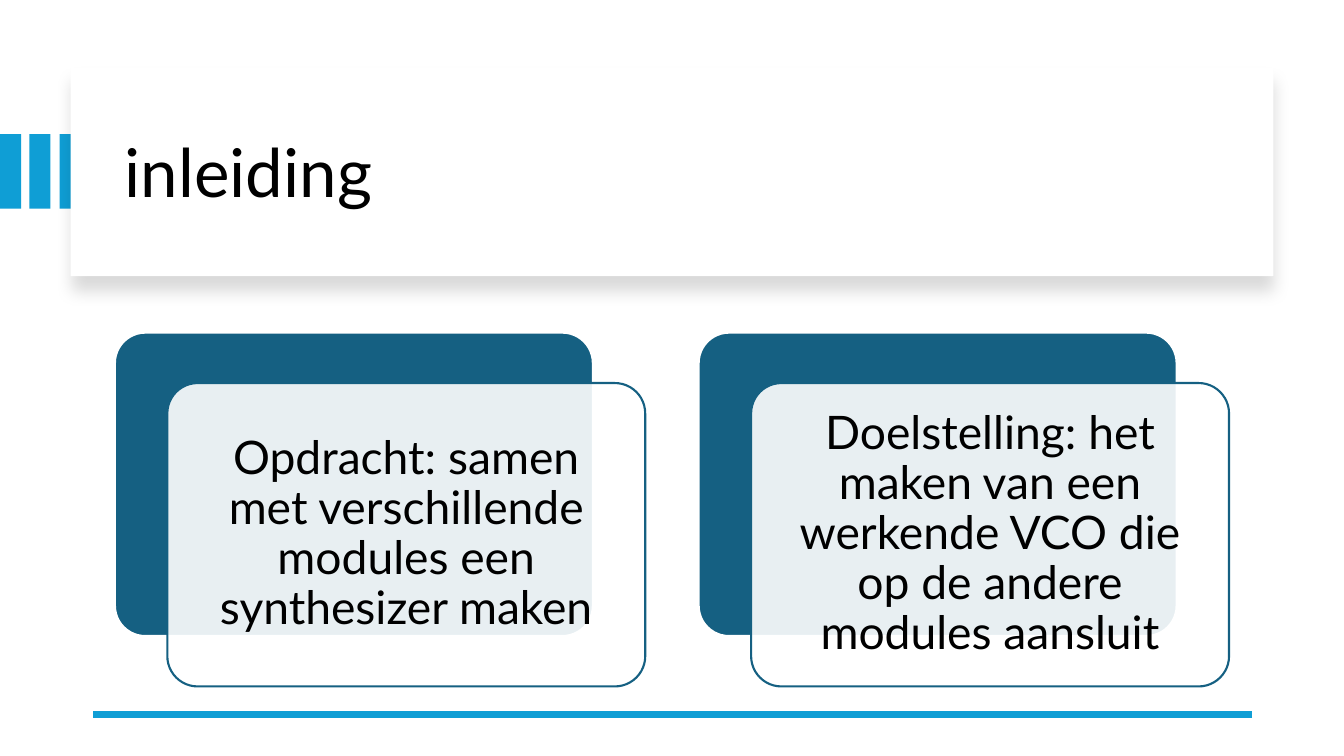
from typing import NamedTuple

from lxml.etree import SubElement
from pptx import Presentation
from pptx.dml.color import RGBColor
from pptx.enum.shapes import MSO_CONNECTOR, MSO_SHAPE
from pptx.enum.text import MSO_ANCHOR, PP_ALIGN
from pptx.oxml.ns import qn
from pptx.shapes.autoshape import Shape
from pptx.util import Pt

PX = 9144
BLUE, TEAL, WHITE, BLACK = "0F9ED5", "156082", "FFFFFF", "000000"
FONT = "Lato"


class Box(NamedTuple):
    left: int
    top: int
    width: int
    height: int

    def emu(self) -> list[int]:
        return [side * PX for side in self]


class Card(NamedTuple):
    left: int
    text: str


CARDS = [
    Card(114, "Opdracht: samen met verschillende modules een synthesizer maken"),
    Card(693, "Doelstelling: het maken van een werkende VCO die op de andere modules aansluit"),
]


def color(code: str) -> RGBColor:
    return RGBColor.from_string(code)


def draw(shapes, kind: MSO_SHAPE, box: Box, fill: str, line: str = "") -> Shape:
    shape = shapes.add_shape(kind, *box.emu())
    shape.shadow.inherit = False
    shape.fill.solid()
    shape.fill.fore_color.rgb = color(fill)
    if line:
        shape.line.color.rgb = color(line)
        shape.line.width = Pt(1.5)
    else:
        shape.line.fill.background()
    return shape


def write(shape: Shape, text: str, size: int, align: PP_ALIGN) -> None:
    frame = shape.text_frame
    frame.word_wrap = True
    frame.vertical_anchor = MSO_ANCHOR.MIDDLE
    para = frame.paragraphs[0]
    para.text = text
    para.alignment = align
    para.line_spacing = 0.9
    para.font.name = FONT
    para.font.size = Pt(size)
    para.font.color.rgb = color(BLACK)


def shade(shape: Shape) -> None:
    effects = shape._element.spPr.find(qn("a:effectLst"))
    shadow = SubElement(effects, qn("a:outerShdw"), blurRad=str(Pt(11)),
                        dist=str(Pt(10)), dir="5400000", algn="t", rotWithShape="0")
    tint = SubElement(shadow, qn("a:srgbClr"), val=BLACK)
    SubElement(tint, qn("a:alpha"), val="15000")


def draw_card(shapes, card: Card) -> None:
    back = Box(card.left, 330, 474, 301)
    front = back._replace(left=back.left + 52, top=back.top + 50)
    rear = draw(shapes, MSO_SHAPE.ROUNDED_RECTANGLE, back, TEAL, WHITE)
    face = draw(shapes, MSO_SHAPE.ROUNDED_RECTANGLE, front, WHITE, TEAL)
    for shape in (rear, face):
        shape.adjustments[0] = 0.1
    tint = face._element.spPr.find(qn("a:solidFill")).find(qn("a:srgbClr"))
    SubElement(tint, qn("a:alpha"), val="90000")
    frame = face.text_frame
    frame.margin_left = frame.margin_right = 14 * PX
    frame.margin_top = frame.margin_bottom = 14 * PX
    write(face, card.text, 33, PP_ALIGN.CENTER)


def main() -> None:
    """Build the introduction slide with its title panel and two cards."""
    deck = Presentation()
    deck.slide_width, deck.slide_height = 1333 * PX, 750 * PX
    shapes = deck.slides.add_slide(deck.slide_layouts[6]).shapes

    for left in (0, 29, 59):
        draw(shapes, MSO_SHAPE.RECTANGLE, Box(left, 133, 21, 74), BLUE)
    shade(draw(shapes, MSO_SHAPE.RECTANGLE, Box(70, 67, 1193, 207), WHITE))
    title = shapes.add_textbox(*Box(114, 89, 1113, 170).emu())
    write(title, "inleiding", 48, PP_ALIGN.LEFT)

    rule = shapes.add_connector(MSO_CONNECTOR.STRAIGHT, 1242 * PX, 709 * PX, 92 * PX, 709 * PX)
    rule.line.color.rgb = color(BLUE)
    rule.line.width = Pt(4.5)
    SubElement(rule._element.spPr, qn("a:effectLst"))

    for card in CARDS:
        draw_card(shapes, card)
    deck.save("out.pptx")


if __name__ == "__main__":
    main()
